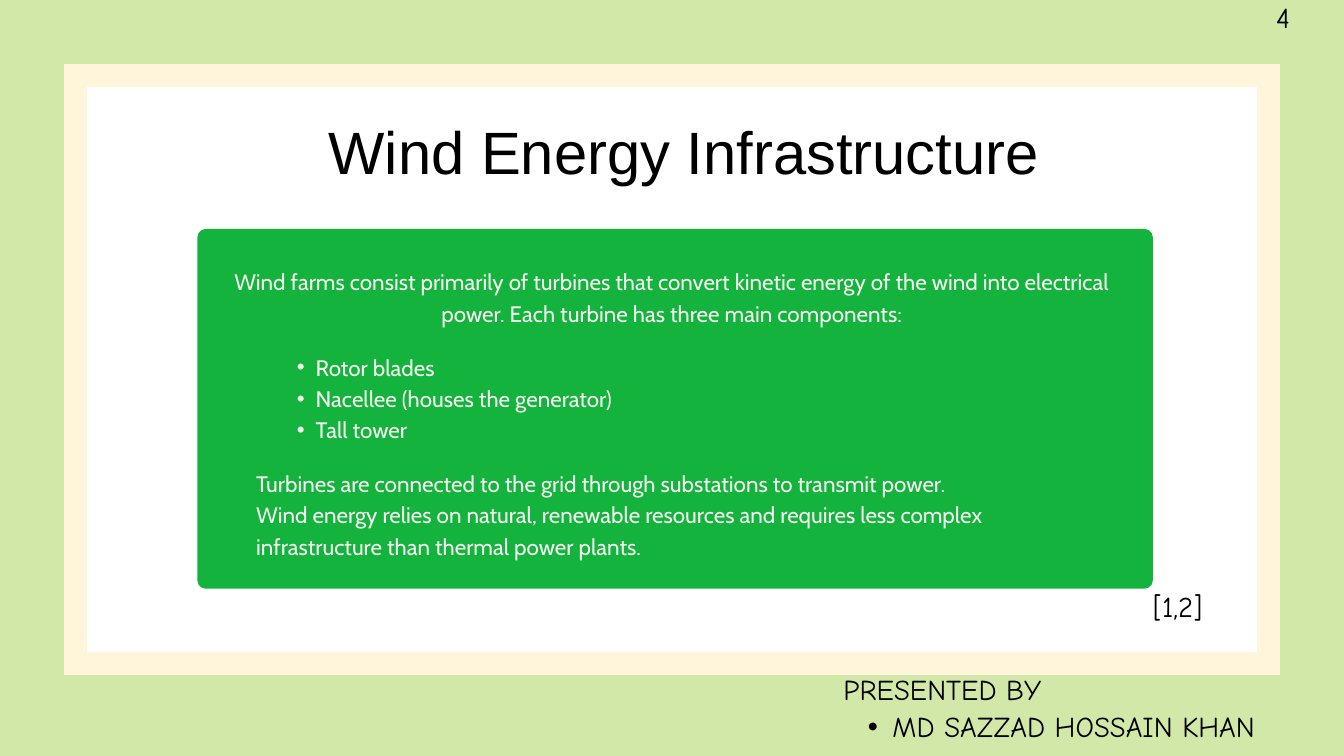
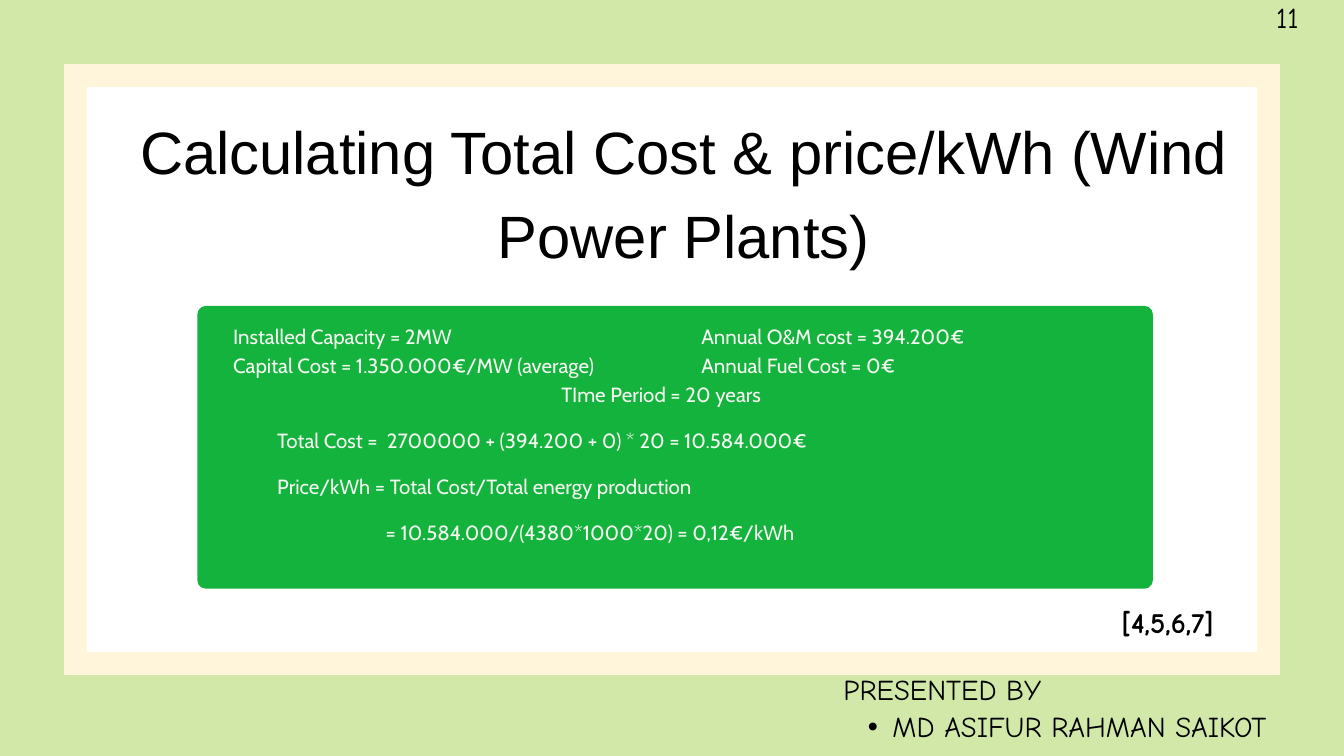
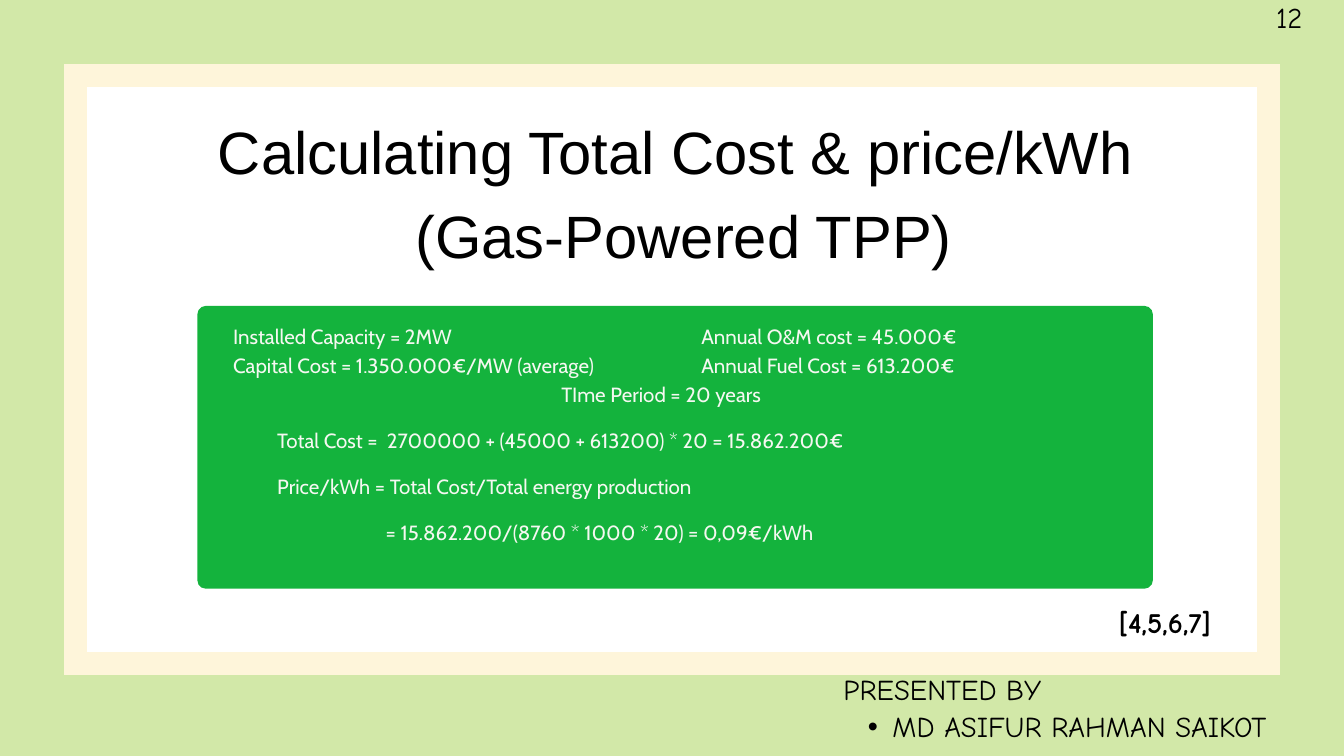
from dataclasses import dataclass
from typing import NamedTuple

from lxml.etree import SubElement as Sub
from pptx import Presentation
from pptx.dml.color import RGBColor as RGB
from pptx.enum.shapes import MSO_SHAPE as Shape
from pptx.enum.text import MSO_ANCHOR as Anchor
from pptx.enum.text import MSO_AUTO_SIZE as Fit
from pptx.enum.text import PP_ALIGN as Align
from pptx.oxml.ns import qn
from pptx.util import Emu, Pt

PX = 9525  # 96 px to the inch
COLORS = {
    "page": "D2E8A8",
    "frame": "FEF5DA",
    "paper": "FFFFFF",
    "card": "14B33D",
    "light": "F5F8F1",
    "dark": "000000",
}


class Box(NamedTuple):
    x: int
    y: int
    w: int
    h: int


class Para(NamedTuple):
    text: str
    indent: int = 0  # a positive indent makes a bullet


@dataclass(frozen=True)
class Style:
    font: str
    size: float
    lead: float
    color: str
    align: Align = Align.LEFT
    bold: bool = False


@dataclass(frozen=True)
class Plant:
    page: str
    title: list[str]
    upkeep: str
    fuel: str
    total: str
    price: str
    ref_x: int


# Shared styles and places
TITLE = Style("Arial", 64, 89.6, "dark", Align.CENTER)
NOTE = Style("Comic Neue", 30.8, 39.4, "dark", Align.JUSTIFY)
STRONG = Style("Comic Neue", 30.8, 39.4, "dark", Align.JUSTIFY, True)
TEXT = Style("Cabin", 24, 33.6, "light")
INTRO = Style("Cabin", 24, 33.6, "light", Align.CENTER)
MATH = Style("Cabin", 22, 30.8, "light")
MID = Style("Cabin", 22, 30.8, "light", Align.CENTER)

FRAME = Box(108, 108, 1704, 840)
CARD_X, CARD_W, CARD_END, RADIUS = 282, 1365, 841, 12
MATH_Y, MATH_STEP = 605, 66

PLANTS = [
    Plant("11", ["Calculating Total Cost & price/kWh (Wind Power Plants)"],
          "394.200€", "0€",
          "2700000 + (394.200 + 0) * 20 = 10.584.000€",
          "10.584.000/(4380*1000*20) = 0,12€/kWh", 1602),
    Plant("12", ["Calculating Total Cost & price/kWh ", "(Gas-Powered TPP)"],
          "45.000€", "613.200€",
          "2700000 + (45000 + 613200) * 20 = 15.862.200€",
          "15.862.200/(8760 * 1000 * 20) = 0,09€/kWh", 1598),
]


def rgb(name: str) -> RGB:
    return RGB.from_string(COLORS[name])


def place(shape, box: Box) -> None:
    shape.left, shape.top, shape.width, shape.height = (Emu(v * PX) for v in box)


def mark(para, indent: int) -> None:
    """Set the hanging indent and the bullet, or clear both."""
    props = para._p.get_or_add_pPr()
    props.set("marL", str(indent * PX))
    props.set("indent", str(-(indent // 2) * PX))
    if indent:
        Sub(props, qn("a:buFont")).set("typeface", "Arial")
        Sub(props, qn("a:buChar")).set("char", "•")
    else:
        Sub(props, qn("a:buNone"))


def write(shape, box: Box, paras: list[Para], style: Style) -> None:
    place(shape, box)
    frame = shape.text_frame
    frame.word_wrap = True
    frame.auto_size = Fit.NONE
    frame.vertical_anchor = Anchor.TOP
    frame.margin_left = frame.margin_right = 0
    frame.margin_top = frame.margin_bottom = 0
    for i, item in enumerate(paras):
        para = frame.paragraphs[0] if i == 0 else frame.add_paragraph()
        para.level = 1 if item.indent else 0
        mark(para, item.indent)
        para.alignment = style.align
        para.line_spacing = Pt(style.lead)
        para.space_before = para.space_after = Pt(0)
        run = para.add_run()
        run.text = item.text
        font = run.font
        font.name, font.size, font.bold = style.font, Pt(style.size), style.bold
        font.color.rgb = rgb(style.color)


def label(slide, box: Box, texts: list[str], style: Style) -> None:
    shape = slide.shapes.add_textbox(0, 0, 0, 0)
    write(shape, box, [Para(text) for text in texts], style)


def panel(slide, kind: Shape, box: Box, color: str):
    shape = slide.shapes.add_shape(kind, 0, 0, 0, 0)
    place(shape, box)
    shape.shadow.inherit = False
    shape.fill.solid()
    shape.fill.fore_color.rgb = rgb(color)
    shape.line.fill.background()
    return shape


def start(deck, title: list[str], page: str, name: str, card_y: int):
    """Add a slide with its frame, card, title, page number and presenter."""
    slide = deck.slides.add_slide(deck.slide_layouts[1])
    paper = panel(slide, Shape.RECTANGLE, FRAME, "paper")
    paper.line.color.rgb = rgb("frame")
    paper.line.width = Pt(24)
    Sub(paper.line._get_or_add_ln(), qn("a:miter")).set("lim", "800000")

    card = Box(CARD_X, card_y, CARD_W, CARD_END - card_y)
    panel(slide, Shape.ROUNDED_RECTANGLE, card, "card").adjustments[0] = RADIUS / card.h

    # Bring the placeholders in front of the panels
    head, body = slide.placeholders
    for shape in (head, body):
        shape.element.getparent().append(shape.element)

    write(head, Box(197, 147, 1559, 118 * len(title)),
          [Para(text) for text in title], TITLE)
    label(slide, Box(1823, -3, 97, 52), [page], NOTE)
    write(slide.shapes.add_textbox(0, 0, 0, 0), Box(1205, 957, 715, 104),
          [Para("PRESENTED BY"), Para(name, 70)], NOTE)
    return slide, body


def wind(deck) -> None:
    slide, body = start(deck, ["Wind Energy Infrastructure"], "4",
                        "MD SAZZAD HOSSAIN KHAN", 327)
    label(slide, Box(333, 377, 1253, 86),
          ["Wind farms consist primarily of turbines that convert kinetic energy of "
           "the wind into electrical power. Each turbine has three main components:"],
          INTRO)
    parts = ["Rotor blades", "Nacellee (houses the generator)", "Tall tower"]
    write(body, Box(397, 499, 1126, 130), [Para(part, 54) for part in parts], TEXT)
    label(slide, Box(366, 665, 1188, 130),
          ["Turbines are connected to the grid through substations to transmit power.",
           "Wind energy relies on natural, renewable resources and requires less "
           "complex infrastructure than thermal power plants."], TEXT)
    label(slide, Box(1647, 838, 100, 52), ["[1,2]"], NOTE)


def cost(deck, plant: Plant) -> None:
    slide, body = start(deck, plant.title, plant.page,
                        "MD ASIFUR RAHMAN SAIKOT", 437)
    # Inputs
    write(body, Box(333, 457, 669, 121),
          [Para("Installed Capacity = 2MW"),
           Para("Capital Cost = 1.350.000€/MW (average)")], MATH)
    label(slide, Box(1002, 457, 754, 121),
          [f"Annual O&M cost = {plant.upkeep}", f"Annual Fuel Cost = {plant.fuel}"],
          MATH)
    label(slide, Box(531, 540, 827, 40), ["TIme Period = 20 years"], MID)
    # Working
    steps = [(396, f"Total Cost =  {plant.total}"),
             (396, "Price/kWh = Total Cost/Total energy production"),
             (551, f"= {plant.price}")]
    for i, (x, text) in enumerate(steps):
        label(slide, Box(x, MATH_Y + i * MATH_STEP, 1188, 40), [text], MATH)
    label(slide, Box(plant.ref_x, 861, 185, 52), ["[4,5,6,7]"], STRONG)


def main() -> None:
    deck = Presentation()
    deck.slide_width, deck.slide_height = Emu(1920 * PX), Emu(1080 * PX)
    back = deck.slide_master.background.fill
    back.solid()
    back.fore_color.rgb = rgb("page")
    wind(deck)
    for plant in PLANTS:
        cost(deck, plant)
    deck.save("out.pptx")


if __name__ == "__main__":
    main()
